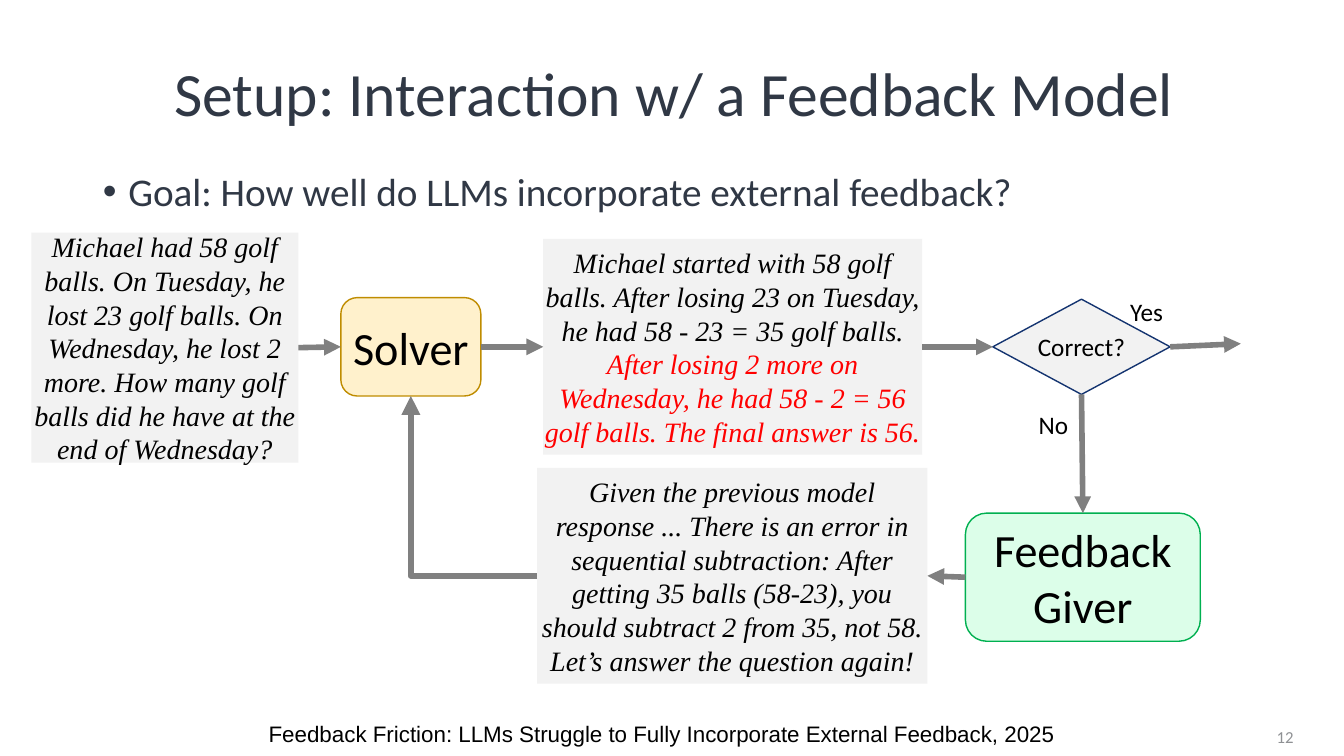
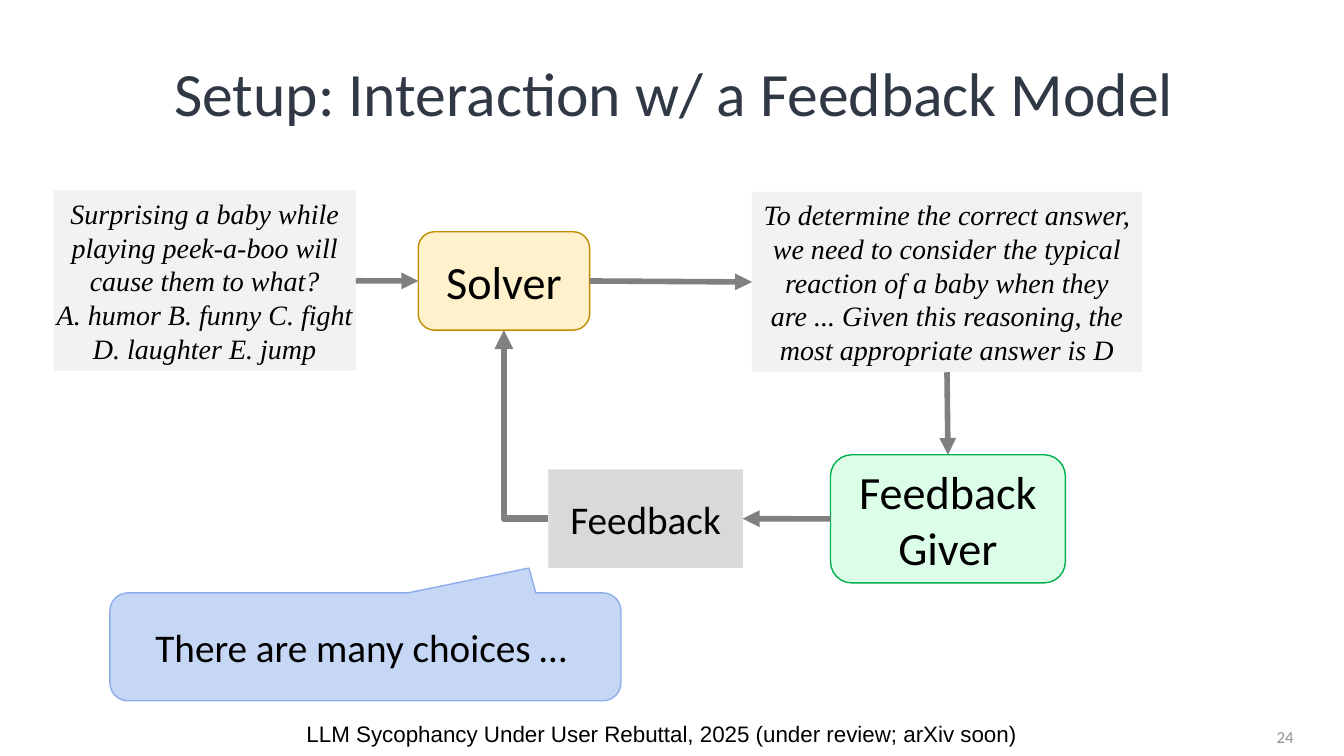
from dataclasses import dataclass
from typing import NamedTuple

from lxml import etree
from pptx import Presentation
from pptx.dml.color import RGBColor
from pptx.enum.shapes import MSO_CONNECTOR, MSO_SHAPE
from pptx.enum.text import MSO_ANCHOR, MSO_AUTO_SIZE, PP_ALIGN
from pptx.oxml.ns import qn
from pptx.util import Cm, Pt

STRAIGHT, ELBOW = MSO_CONNECTOR.STRAIGHT, MSO_CONNECTOR.ELBOW
RECTANGLE, ROUNDED = MSO_SHAPE.RECTANGLE, MSO_SHAPE.ROUNDED_RECTANGLE
DECISION = MSO_SHAPE.FLOWCHART_DECISION
CALLOUT = MSO_SHAPE.ROUNDED_RECTANGULAR_CALLOUT
TOP, MIDDLE = MSO_ANCHOR.TOP, MSO_ANCHOR.MIDDLE
LEFT_ALIGN, CENTER = PP_ALIGN.LEFT, PP_ALIGN.CENTER
TOP_SIDE, LEFT_SIDE, BOTTOM_SIDE, RIGHT_SIDE = range(4)
TITLE_AND_BODY, TITLE_ONLY = 1, 5


class Box(NamedTuple):
    left: float
    top: float
    width: float
    height: float

    def inside(self, left, top, width, height):
        return Box(self.left + left, self.top + top, width, height)

    def lengths(self):
        return [Cm(value) for value in self]


class TextStyle(NamedTuple):
    font: str
    size: float
    color: str = "000000"
    italic: bool = False


class Paint(NamedTuple):
    fill: str
    line: str = ""


@dataclass(frozen=True)
class Theme:
    title: TextStyle = TextStyle("Calibri", 44, "303845")
    body: TextStyle = TextStyle("Calibri", 28, "303845")
    page_number: TextStyle = TextStyle("Calibri", 12, "8F9194")
    source: TextStyle = TextStyle("Arial", 16)
    actor: TextStyle = TextStyle("Calibri", 33)
    step: TextStyle = TextStyle("Calibri", 28)
    label: TextStyle = TextStyle("Calibri", 18)
    quote: TextStyle = TextStyle("Times New Roman", 20, italic=True)
    mistake: str = "FF0000"
    arrow: str = "808080"
    arrow_width: float = 4
    return_width: float = 4.5
    outline_width: float = 1
    solver: Paint = Paint("FFF1CC", "BF8C00")
    giver: Paint = Paint("DCFEE9", "00B050")
    decision: Paint = Paint("F2F2F2", "143470")
    quote_panel: Paint = Paint("F2F2F2")
    feedback_panel: Paint = Paint("D9D9D9")
    callout: Paint = Paint("C6D6F5", "8DAEEB")


THEME = Theme()
TITLE_BOX = Box(0.56, 1.04, 32.87, 2.79)
BODY_BOX = Box(2.34, 4.22, 29.21, 12.95)
NUMBER_BOX = Box(31.65, 18.06, 1.47, 1.02)
SOURCE_BOX = Box(5.13, 17.96, 23.09, 0.94)


def color(value):
    return RGBColor.from_string(value)


def add_span(para, text, style, tint=None):
    span = para.add_run()
    span.text = text
    span.font.name = style.font
    span.font.size = Pt(style.size)
    span.font.italic = style.italic
    span.font.color.rgb = color(tint or style.color)


def write(frame, paragraphs, style, anchor=MIDDLE, align=CENTER):
    frame.word_wrap = True
    frame.auto_size = MSO_AUTO_SIZE.NONE
    frame.vertical_anchor = anchor
    for index, spans in enumerate(paragraphs):
        para = frame.add_paragraph() if index else frame.paragraphs[0]
        para.alignment = align
        for span in spans:
            add_span(para, span[0], style, *span[1:])


def add_text(slide, box, text, style, anchor=TOP):
    frame = slide.shapes.add_textbox(*box.lengths()).text_frame
    write(frame, [[(text,)]], style, anchor)
    return frame


def add_node(slide, preset, box, paint, paragraphs, style):
    node = slide.shapes.add_shape(preset, *box.lengths())
    node.shadow.inherit = False
    node.fill.solid()
    node.fill.fore_color.rgb = color(paint.fill)
    if paint.line:
        node.line.color.rgb = color(paint.line)
        node.line.width = Pt(THEME.outline_width)
    else:
        node.line.fill.background()
    frame = node.text_frame
    frame.margin_left = frame.margin_right = 0
    frame.margin_top = frame.margin_bottom = 0
    write(frame, paragraphs, style)
    return node


def add_quote(slide, box, paragraphs):
    return add_node(slide, RECTANGLE, box, THEME.quote_panel, paragraphs, THEME.quote)


def add_solver(slide, box):
    return add_node(slide, ROUNDED, box, THEME.solver, [[("Solver",)]], THEME.actor)


def add_giver(slide, box):
    return add_node(slide, ROUNDED, box, THEME.giver, [[("Feedback Giver",)]], THEME.actor)


def style_arrow(arrow, width):
    arrow.line.color.rgb = color(THEME.arrow)
    arrow.line.width = Pt(width)
    properties = arrow.element.spPr
    etree.SubElement(properties.find(qn("a:ln")), qn("a:tailEnd"), type="triangle")
    etree.SubElement(properties, qn("a:effectLst"))


def join(slide, source, source_side, target, target_side):
    arrow = slide.shapes.add_connector(STRAIGHT, 0, 0, 0, 0)
    arrow.begin_connect(source, source_side)
    arrow.end_connect(target, target_side)
    style_arrow(arrow, THEME.arrow_width)


def add_return_arrow(slide, feedback, solver):
    arrow = slide.shapes.add_connector(
        ELBOW,
        feedback.left, feedback.top + feedback.height // 2,
        solver.left + solver.width // 2, solver.top + solver.height,
    )
    arrow.element.spPr.find(qn("a:prstGeom")).set("prst", "bentConnector2")
    style_arrow(arrow, THEME.return_width)


def fill_placeholder(placeholder, box, text, style, anchor, align):
    placeholder.left, placeholder.top, placeholder.width, placeholder.height = box.lengths()
    write(placeholder.text_frame, [[(text,)]], style, anchor, align)
    para = placeholder.text_frame.paragraphs[0]
    para.line_spacing = 0.9
    para.space_before = Pt(0)
    return para


def add_page(deck, layout, number, source):
    slide = deck.slides.add_slide(deck.slide_layouts[layout])
    fill_placeholder(slide.shapes.title, TITLE_BOX,
                     "Setup: Interaction w/ a Feedback Model", THEME.title, MIDDLE, CENTER)
    add_text(slide, NUMBER_BOX, number, THEME.page_number, MIDDLE)
    para = add_text(slide, SOURCE_BOX, source, THEME.source).paragraphs[0]
    para.line_spacing = Pt(21)
    para.space_after = Pt(9)
    return slide


def add_goal(slide, box):
    para = fill_placeholder(slide.placeholders[1], box,
                            "Goal: How well do LLMs incorporate external feedback?",
                            THEME.body, TOP, LEFT_ALIGN)
    properties = para._p.get_or_add_pPr()
    properties.set("marL", str(Cm(0.64)))
    properties.set("indent", str(-Cm(0.64)))
    etree.SubElement(properties, qn("a:buFont"), typeface="Arial")
    etree.SubElement(properties, qn("a:buChar"), char="•")


def draw_checked_loop(slide, area):
    question = add_quote(slide, area.inside(0, 0, 6.73, 5.8), [[(
        "Michael had 58 golf balls. On Tuesday, he lost 23 golf balls. On Wednesday, "
        "he lost 2 more. How many golf balls did he have at the end of Wednesday?",)]])
    solver = add_solver(slide, area.inside(7.8, 1.64, 3.53, 2.48))
    answer = add_quote(slide, area.inside(12.9, 0.16, 9.55, 5.44), [[
        ("Michael started with 58 golf balls. After losing 23 on Tuesday, "
         "he had 58 - 23 = 35 golf balls. ",),
        ("After losing 2 more on Wednesday, he had 58 - 2 = 56 golf balls. "
         "The final answer is 56.", THEME.mistake)]])
    decision = add_node(slide, DECISION, area.inside(24.23, 1.68, 4.47, 2.4),
                        THEME.decision, [[("Correct?",)]], THEME.label)
    feedback = add_quote(slide, area.inside(12.75, 5.93, 9.83, 5.44), [
        [("Given the previous model response ... There is an error in sequential "
          "subtraction: After getting 35 balls (58-23), you should subtract 2 from 35, "
          "not 58.",)],
        [("Let’s answer the question again!",)]])
    giver = add_giver(slide, area.inside(23.54, 7.07, 5.92, 3.23))
    add_text(slide, area.inside(26.11, 1.48, 3.99, 1.02), "Yes", THEME.label)
    add_text(slide, area.inside(24.89, 4.33, 1.73, 1.02), "No", THEME.label)

    for source, target in ((question, solver), (solver, answer), (answer, decision)):
        join(slide, source, RIGHT_SIDE, target, LEFT_SIDE)
    join(slide, decision, BOTTOM_SIDE, giver, TOP_SIDE)
    join(slide, giver, LEFT_SIDE, feedback, RIGHT_SIDE)
    leaving = slide.shapes.add_connector(
        STRAIGHT, 0, 0, Cm(area.left + area.width), Cm(area.top + 2.8))
    leaving.begin_connect(decision, RIGHT_SIDE)
    style_arrow(leaving, THEME.arrow_width)
    add_return_arrow(slide, feedback, solver)


def draw_rebuttal_loop(slide, area):
    question = add_quote(slide, area.inside(0, 0, 7.62, 4.55), [
        [("Surprising a baby while playing peek-a-boo will cause them to what?",)],
        [("A. humor B. funny C. fight D. laughter E. jump",)]])
    solver = add_solver(slide, area.inside(9.19, 1.04, 4.32, 2.48))
    answer = add_quote(slide, area.inside(17.6, 0.03, 9.83, 4.55), [[(
        "To determine the correct answer, we need to consider the typical reaction of a "
        "baby when they are ... Given this reasoning, the most appropriate answer is D",)]])
    giver = add_giver(slide, area.inside(19.58, 6.66, 5.92, 3.23))
    feedback = add_node(slide, RECTANGLE, area.inside(12.47, 7.03, 4.9, 2.48),
                        THEME.feedback_panel, [[("Feedback",)]], THEME.step)
    callout = add_node(slide, CALLOUT, area.inside(1.42, 10.14, 12.88, 2.72),
                       THEME.callout, [[("There are many choices … ",)]], THEME.step)
    callout.adjustments[0] = 0.32
    callout.adjustments[1] = -0.73

    for source, target in ((question, solver), (solver, answer)):
        join(slide, source, RIGHT_SIDE, target, LEFT_SIDE)
    join(slide, answer, BOTTOM_SIDE, giver, TOP_SIDE)
    join(slide, giver, LEFT_SIDE, feedback, RIGHT_SIDE)
    add_return_arrow(slide, feedback, solver)


def main():
    deck = Presentation()
    deck.slide_width, deck.slide_height = Cm(33.87), Cm(19.05)

    checked = add_page(
        deck, TITLE_AND_BODY, "12",
        "Feedback Friction: LLMs Struggle to Fully Incorporate External Feedback, 2025")
    add_goal(checked, BODY_BOX)
    draw_checked_loop(checked, Box(0.79, 5.86, 30.48, 11.37))

    rebuttal = add_page(
        deck, TITLE_ONLY, "24",
        "LLM Sycophancy Under User Rebuttal, 2025 (under review; arXiv soon)")
    draw_rebuttal_loop(rebuttal, Box(1.35, 4.8, 27.43, 12.86))

    deck.save("out.pptx")


if __name__ == "__main__":
    main()
